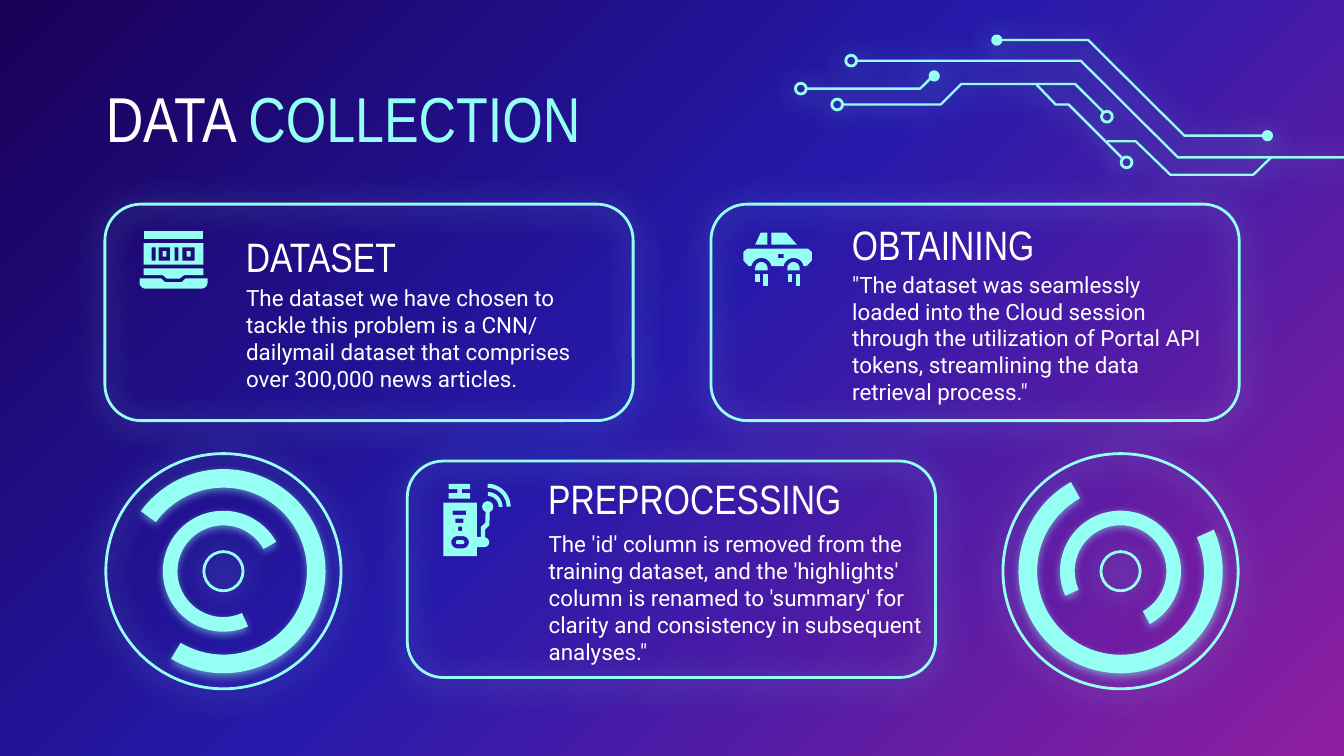
from copy import deepcopy
from math import cos, sin, radians
from lxml.etree import SubElement
from pptx import Presentation
from pptx.dml.color import RGBColor
from pptx.enum.shapes import MSO_SHAPE
from pptx.enum.text import MSO_ANCHOR
from pptx.oxml.ns import qn
from pptx.util import Pt

HUE = {"night": "190057", "blue": "2619AA", "plum": "8F1EA0",
       "aqua": "96FFF3", "white": "FFFFFF"}
HEAD, BODY = "Arial Narrow", "Roboto"


def rgb(name):
    return RGBColor.from_string(HUE[name])


# Shared helpers
def glow(shape, blur=15.8, alpha=67):
    shape.shadow.inherit = False
    fx = shape._element.spPr.find(qn("a:effectLst"))
    out = SubElement(fx, qn("a:outerShdw"), blurRad=str(Pt(blur)),
                     dist=str(Pt(1.5)), dir="5400000", algn="bl", rotWithShape="0")
    tone = SubElement(out, qn("a:srgbClr"), val=HUE["aqua"])
    SubElement(tone, qn("a:alpha"), val=str(alpha * 1000))


def style(shape, solid):
    """Solid aqua fill, or an aqua outline alone."""
    shape.shadow.inherit = False
    if solid:
        shape.fill.solid()
        shape.fill.fore_color.rgb = rgb("aqua")
        shape.line.fill.background()
    else:
        shape.fill.background()
        shape.line.color.rgb = rgb("aqua")
        shape.line.width = Pt(1.5)
    return shape


def preset(slide, kind, x, y, w, h, solid=False):
    shape = slide.shapes.add_shape(kind, Pt(x), Pt(y), Pt(w), Pt(h))
    return style(shape, solid)


def disc(slide, kind, x, y, size, solid=False):
    """Shape of equal width and height, centred on x, y."""
    return preset(slide, kind, x - size / 2, y - size / 2, size, size, solid)


def trace(slide, x, y, rings, solid=True):
    """Outline of one or more rings; inner rings cut holes."""
    rings = [[(Pt(x + a), Pt(y + b)) for a, b in ring] for ring in rings]
    pen = slide.shapes.build_freeform(*rings[0][0])
    for i, ring in enumerate(rings):
        if i:
            pen.move_to(*ring[0])
        pen.add_line_segments(ring[1:], close=solid)
    return style(pen.convert_to_shape(), solid)


def rect(x, y, w, h):
    return [(x, y), (x + w, y), (x + w, y + h), (x, y + h)]


def arc(x, y, r, start, end, steps=12):
    turns = [radians(start + (end - start) * i / steps) for i in range(steps + 1)]
    return [(x + r * cos(t), y + r * sin(t)) for t in turns]


def write(slide, x, y, w, h, runs, size, font, pad=7.2, anchor=MSO_ANCHOR.MIDDLE):
    frame = slide.shapes.add_textbox(Pt(x), Pt(y), Pt(w), Pt(h)).text_frame
    frame.word_wrap = True
    frame.vertical_anchor = anchor
    frame.margin_left = frame.margin_right = Pt(pad)
    frame.margin_top = frame.margin_bottom = Pt(pad)
    for text, tone in runs:
        run = frame.paragraphs[0].add_run()
        run.text = text
        run.font.size, run.font.name = Pt(size), font
        run.font.color.rgb = rgb(tone)


# Icons
def laptop(slide, x, y):
    panel = [rect(2.2, 6.5, 32, 11.5)]
    panel += [rect(a, 8.7, w, 7.1) for a, w in
              ((6.5, 2.1), (10.2, 6.2), (18.7, 2.1), (23, 6.5))]
    panel += [rect(a, 10.8, 2.1, 2.9) for a in (12.3, 25.2)]
    lid = [(2.2, 20), (2.2, 23.6), (12.4, 23.6), (14.5, 25.4), (21.5, 25.4),
           (23.8, 23.6), (34.2, 23.6), (34.2, 20)]
    base = [(0, 25.4), *arc(3.2, 27.6, 3.2, 180, 90), *arc(33.2, 27.6, 3.2, 90, 0),
            (36.4, 25.4), (24.6, 25.4), (22.5, 27.4), (13.7, 27.4), (11.6, 25.4)]
    for rings in ([rect(2.2, 0, 32, 4.4)], panel, [lid], [base]):
        trace(slide, x, y, rings)


def car(slide, x, y):
    wheels, axle = (9.7, 26.9), 19.1
    body = [(2.2, 8.6), (0, 10.4), (0, 15), (2.9, 18)]
    for hub in wheels:
        body += arc(hub, axle, 5.5, 192, 348)
    body += [(33.9, 18), (36.7, 15), (36.7, 10.4), (34.5, 8.6)]
    trace(slide, x, y, [body, rect(18.7, 11.5, 2.9, 2.2)])
    trace(slide, x, y, [[(9.3, 0), (6.4, 6.5), (12.9, 6.5), (12.9, 0)]])
    trace(slide, x, y, [[(15.1, 0), (15.1, 6.5), (28.8, 6.5), (23, 0)]])
    for hub in wheels:
        trace(slide, x, y, [arc(hub, axle, 3.3, 180, 360)
                            + [(hub + 3.3, 20.2), (hub - 3.3, 20.2)]])
        for dx, h in ((-3.2, 4.3), (1.1, 6.5)):
            trace(slide, x, y, [rect(hub + dx, 22.3, 2.2, h)])


def pill(x, y, w, r):
    return arc(x - w, y, r, 90, 270) + arc(x + w, y, r, 270, 450)


def radio(slide, x, y):
    for far, near in ((12.3, 10.1), (7.9, 5.8)):
        trace(slide, x, y, [arc(23.8, 12.3, far, 270, 360)
                            + arc(23.8, 12.3, near, 360, 270)])
    mast = [(2.9, 0), (2.9, 2.9), (7.6, 2.9), (7.6, 5), (2.9, 5), (2.9, 7.9),
            (14.4, 7.9), (14.4, 5), (10, 5), (10, 2.9), (14.4, 2.9), (14.4, 0)]
    case = [(0, 10.1), (0, 38.7), (18, 38.7), (18, 33.9),
            *arc(22, 31.3, 2.6, 90, -80), (22.4, 24.5), (24.7, 22.3),
            *arc(23.8, 12.3, 3, 68, -248), (22.5, 20.9), (20.2, 23),
            (20.2, 28.5), (18, 28.5), (18, 10.1)]
    holes = [rect(a, b, w, 2.2) for a, b, w in
             ((5, 14.4, 7.2), (6.5, 18.7, 4.3), (7.9, 23, 2.2))]
    trace(slide, x, y, [mast])
    trace(slide, x, y, [case, *holes, pill(9, 31.3, 1.4, 3.3), pill(9, 31.3, 1.2, 1.1)])


# Regions
def circuit(slide, x, y):
    wires = [
        [(3, 26), (64, 26), (70.5, 19.5)],
        [(105, 0), (154, 0), (205.5, 51.2), (250, 51.2)],
        [(30, 11), (150, 11), (202, 62.8), (291, 62.8)],
        [(23, 34.5), (75, 34.5), (86, 23.5), (147, 23.5), (162, 38.5)],
        [(126, 23.5), (136.5, 34.5), (143.5, 34.5), (172, 63)],
        [(164, 54.2), (179.5, 54.2), (198, 72.1), (242.5, 72.1), (252, 62.8)],
    ]
    for wire in wires:
        line = trace(slide, x, y, [wire], solid=False)
        line.line.width = Pt(1.25)
        glow(line)
    for dots, size, solid in (
            (((0, 26), (27, 11), (19.5, 34.5), (164, 41), (174.5, 65.5)), 5.8, False),
            (((71.5, 19.2), (105, 0), (250, 51.2)), 6, True)):
        for a, b in dots:
            glow(disc(slide, MSO_SHAPE.OVAL, x + a, y + b, size, solid))


def card(slide, x, y, head, body, icon, spot, rise, drop, wide, tall):
    glow(preset(slide, MSO_SHAPE.ROUNDED_RECTANGLE, x, y, 283, 116))
    icon(slide, x + spot[0], y + spot[1])
    write(slide, x + 68.4, y + rise, 184.3, 31, [(head, "white")], 22, HEAD)
    write(slide, x + 68.6, y + drop, wide, tall, [(body, "white")], 12, BODY)


def dial(slide, x, y, size, turns):
    mid, row = x + size / 2, y + size / 2
    for width in (size, 21):
        glow(disc(slide, MSO_SHAPE.OVAL, mid, row, width))
    bands = ((109.4, 18.505, 0.091), (64.8, 18.615, 0.121))
    for (width, end, thick), turn in zip(bands, turns):
        band = disc(slide, MSO_SHAPE.BLOCK_ARC, mid, row, width, True)
        for i, value in enumerate((75.583, end, thick)):
            band.adjustments[i] = value
        band.rotation = turn
        glow(band, 4.5, 50)


def backdrop(slide):
    fill = slide.background.fill
    fill.gradient()
    fill.gradient_angle = 315
    stops = slide.element.find(".//" + qn("a:gsLst"))
    stops.append(deepcopy(stops[-1]))
    for stop, place, name in zip(fill.gradient_stops, (0, 0.48, 1),
                                 ("night", "blue", "plum")):
        stop.position, stop.color.rgb = place, rgb(name)


def main():
    deck = Presentation()
    deck.slide_width, deck.slide_height = Pt(720), Pt(405)
    slide = deck.slides.add_slide(deck.slide_layouts[6])
    backdrop(slide)
    circuit(slide, 429, 21.5)
    write(slide, 56.7, 42.5, 607, 45.4, [("DATA ", "white"), ("COLLECTION", "aqua")],
          34, HEAD, 0, MSO_ANCHOR.TOP)
    card(slide, 56.2, 109.4, "DATASET",
         "The dataset we have chosen to tackle this problem is a CNN/ dailymail "
         "dataset that comprises over 300,000 news articles.",
         laptop, (18.6, 14.4), 12.3, 43.2, 205, 57)
    card(slide, 380.9, 109.4, "OBTAINING",
         '"The dataset was seamlessly loaded into the Cloud session through the '
         'utilization of Portal API tokens, streamlining the data retrieval process."',
         car, (17.3, 15.2), 5.8, 43.2, 205, 57)
    card(slide, 218.2, 247, "PREPROCESSING",
         "The 'id' column is removed from the training dataset, and the 'highlights' "
         "column is renamed to 'summary' for clarity and consistency in subsequent "
         'analyses."',
         radio, (19.3, 12.2), 4.3, 43.2, 219.6, 60)
    dial(slide, 56.7, 243, 126, (90, 300))
    dial(slide, 537.3, 243, 126, (210, 30))
    deck.save("out.pptx")


if __name__ == "__main__":
    main()
